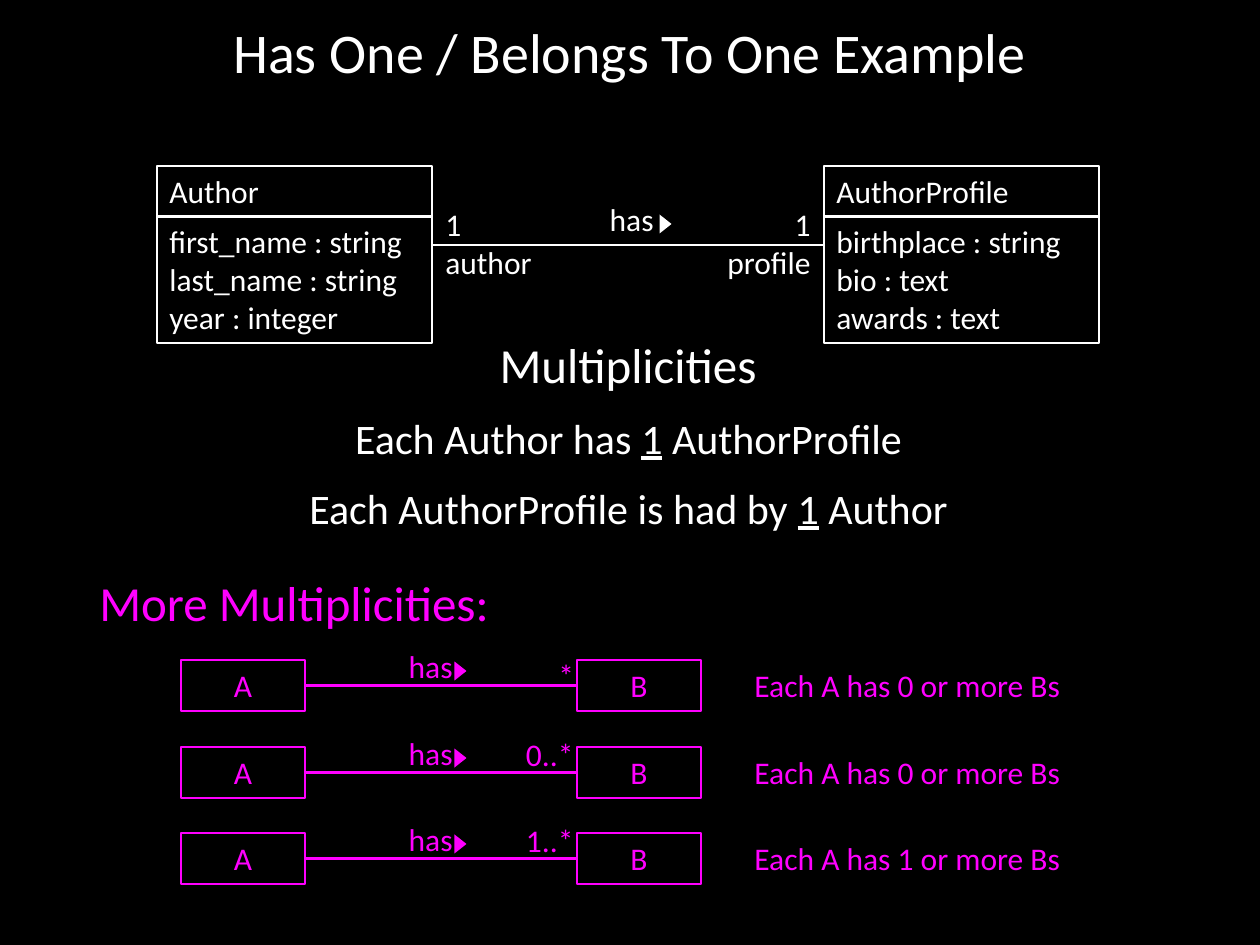
from pptx import Presentation
from pptx.dml.color import RGBColor
from pptx.enum import shapes, text
from pptx.oxml.ns import qn
from pptx import util as u
from lxml import etree

PX = 914400 / 126
FONT = "Calibri"
COLORS = {"back": "000000", "main": "FFFFFF", "more": "FF00FF"}
LEFT, CENTER, RIGHT = text.PP_ALIGN.LEFT, text.PP_ALIGN.CENTER, text.PP_ALIGN.RIGHT


def place(*lengths):
    return [u.Emu(round(length * PX)) for length in lengths]


def write(box, lines, size=18, color="main", align=LEFT, wrap=False):
    """Fill a box with lines; words between two bars are underlined."""
    frame = box.text_frame
    frame.word_wrap = wrap
    frame.auto_size = text.MSO_AUTO_SIZE.SHAPE_TO_FIT_TEXT
    frame.vertical_anchor = text.MSO_ANCHOR.TOP
    for index, line in enumerate(lines):
        para = frame.paragraphs[0] if index == 0 else frame.add_paragraph()
        para.alignment = align
        for part, words in enumerate(line.split("|")):
            span = para.add_run()
            span.text = words
            span.font.name = FONT
            span.font.size = u.Pt(size)
            span.font.color.rgb = RGBColor.from_string(COLORS[color])
            if part % 2:
                span.font.underline = True


deck = Presentation()
deck.slide_width, deck.slide_height = u.Inches(10), u.Inches(7.5)
page = deck.slides.add_slide(deck.slide_layouts[5])
page.background.fill.solid()
page.background.fill.fore_color.rgb = RGBColor.from_string(COLORS["back"])

# Title
title = page.shapes.title
title.left, title.top, title.width, title.height = place(63, 0, 1134, 102)
write(title, ["Has One / Belongs To One Example"], 32, align=CENTER, wrap=True)
title.text_frame.auto_size = text.MSO_AUTO_SIZE.NONE
title.text_frame.vertical_anchor = text.MSO_ANCHOR.MIDDLE

# Boxes: left, top, width, height, lines, colour, alignment
boxes = []
for left, name, fields in [
    (157, "Author", ["first_name : string", "last_name : string", "year : integer"]),
    (824, "AuthorProfile", ["birthplace : string", "bio : text", "awards : text"]),
]:
    boxes.append((left, 216, 275, 127, fields, "main", LEFT))
    boxes.append((left, 166, 275, 51, [name], "main", LEFT))

# Labels: left, top, width, height, lines, size, colour, alignment
labels = [
    (597, 194, 69, 51, ["has"], 18, "main", RIGHT),
    (433, 199, 114, 88, ["1", "author"], 18, "main", LEFT),
    (712, 199, 111, 88, ["1", "profile"], 18, "main", RIGHT),
    (487, 328, 282, 72, ["Multiplicities"], 28, "main", CENTER),
    (342, 406, 573, 63, ["Each Author has |1| AuthorProfile"], 24, "main", CENTER),
    (296, 476, 665, 63, ["Each AuthorProfile is had by |1| Author"], 24, "main", CENTER),
    (87, 566, 415, 72, ["More Multiplicities:"], 28, "more", LEFT),
]
arrows = [(656, 218, "main")]

# More multiplicities: one row per example
for top, mark, mark_rise, mark_width, meaning in [
    (660, "*", 10, 40, "Each A has 0 or more Bs"),
    (747, "0..*", 18, 73, "Each A has 0 or more Bs"),
    (833, "1..*", 18, 73, "Each A has 1 or more Bs"),
]:
    boxes.append((181, top, 124, 51, ["A"], "more", CENTER))
    boxes.append((577, top, 124, 51, ["B"], "more", CENTER))
    labels.append((586 - mark_width, top - mark_rise, mark_width, 51, [mark], 18, "more", RIGHT))
    labels.append((396, top - 19, 69, 51, ["has"], 18, "more", RIGHT))
    labels.append((742, top, 331, 51, [meaning], 18, "more", LEFT))
    arrows.append((451, top + 5, "more"))

# Draw boxes
drawn = []
for left, top, width, height, lines, color, align in boxes:
    box = page.shapes.add_shape(shapes.MSO_SHAPE.RECTANGLE, *place(left, top, width, height))
    box.shadow.inherit = False
    box.fill.background()
    box.line.color.rgb = RGBColor.from_string(COLORS[color])
    box.line.width = u.Pt(1.5)
    write(box, lines, color=color, align=align, wrap=True)
    drawn.append(box)

# Draw association lines; the A and B boxes are joined side to side
links = [(None, None, "main")]
links += [(drawn[i], drawn[i + 1], "more") for i in range(4, len(drawn), 2)]
for start, end, color in links:
    link = page.shapes.add_connector(shapes.MSO_CONNECTOR.STRAIGHT, *place(432, 245, 824, 245))
    if start is not None:
        link.begin_connect(start, 3)
        link.end_connect(end, 1)
    link.line.color.rgb = RGBColor.from_string(COLORS[color])
    link.line.width = u.Pt(1.5)
    etree.SubElement(link._element.spPr, qn("a:effectLst"))

# Draw labels
for left, top, width, height, lines, size, color, align in labels:
    label = page.shapes.add_textbox(*place(left, top, width, height))
    write(label, lines, size, color, align)

# Draw reading-direction triangles
for left, top, color in arrows:
    arrow = page.shapes.add_shape(shapes.MSO_SHAPE.ISOSCELES_TRIANGLE, *place(left, top, 19, 12))
    arrow.rotation = 90
    arrow.shadow.inherit = False
    arrow.fill.solid()
    arrow.fill.fore_color.rgb = RGBColor.from_string(COLORS[color])
    arrow.line.fill.background()

deck.save("out.pptx")
